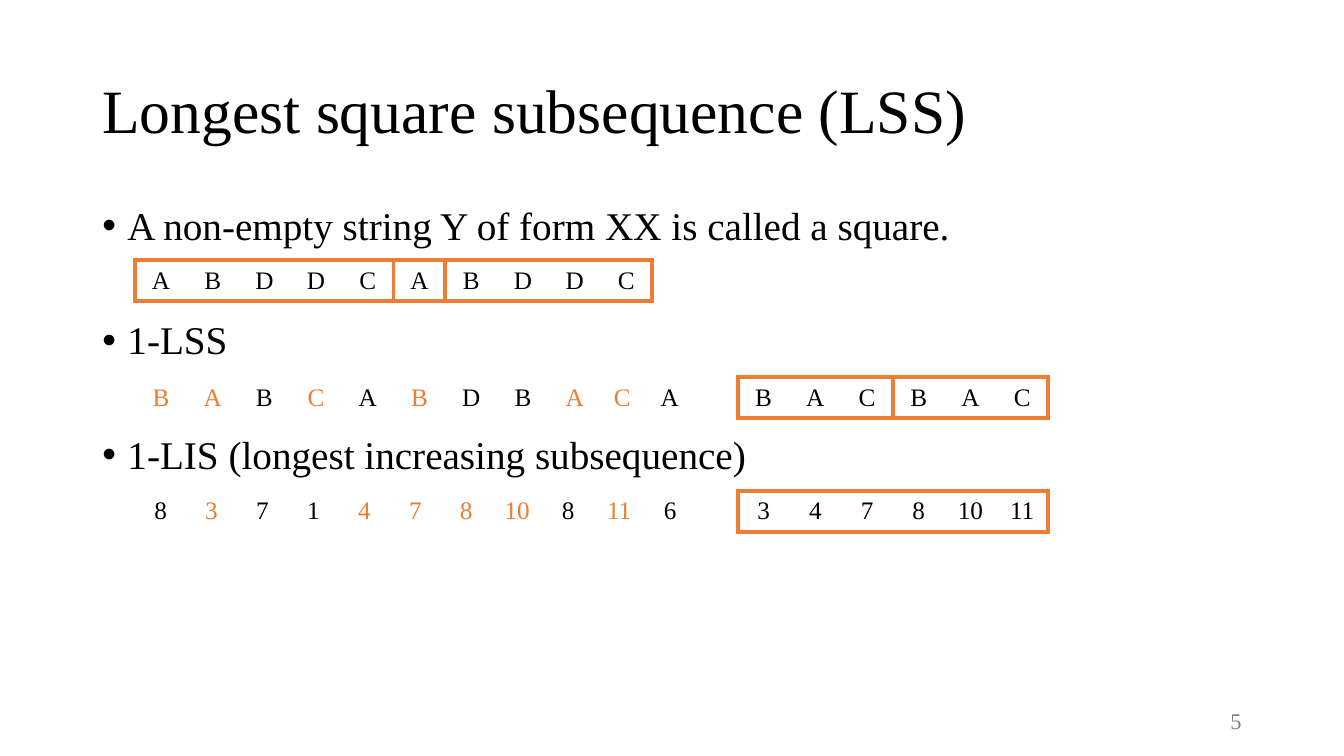
from lxml.etree import SubElement
from pptx import Presentation
from pptx.dml.color import RGBColor
from pptx.enum.text import MSO_ANCHOR as Anchor, PP_ALIGN as Align
from pptx.oxml.ns import qn
from pptx.util import Pt

FONT = "Times New Roman"
COLORS = {"text": "000000", "accent": "ED7D31", "number": "808080"}
ROW_HEIGHT = 29.2
COLUMN_WIDTH = 36.95
LEFT_TABLE, RIGHT_TABLE = 96.5, 527
ROW_TOPS = {"square": 185.8, "lss": 269.3, "lis": 350.6}


def add_run(paragraph, text, size, color="text"):
    run = paragraph.add_run()
    run.text = text
    run.font.name = FONT
    run.font.size = Pt(size)
    run.font.color.rgb = RGBColor.from_string(COLORS[color])


def add_text_frame(slide, left, top, width, height, anchor):
    box = slide.shapes.add_textbox(Pt(left), Pt(top), Pt(width), Pt(height))
    frame = box.text_frame
    frame.word_wrap = True
    frame.vertical_anchor = anchor
    return frame


def add_title(slide, text):
    frame = add_text_frame(slide, 66, 28.8, 862, 104.4, Anchor.MIDDLE)
    paragraph = frame.paragraphs[0]
    paragraph.line_spacing = 0.9
    add_run(paragraph, text, 44)


def add_bullets(slide, lines):
    """Add bulleted lines, spaced to leave room for a table under each."""
    frame = add_text_frame(slide, 66, 144, 828, 356.4, Anchor.TOP)
    for index, line in enumerate(lines):
        paragraph = frame.add_paragraph() if index else frame.paragraphs[0]
        properties = paragraph._p.get_or_add_pPr()
        properties.set("marL", str(Pt(18)))
        properties.set("indent", str(-Pt(18)))
        SubElement(properties, qn("a:buFont"), typeface="Arial")
        SubElement(properties, qn("a:buChar"), char="•")
        paragraph.line_spacing = 0.9
        if index:
            paragraph.space_before = Pt(51.5)
        add_run(paragraph, line, 28)


def add_slide_number(slide, number):
    frame = add_text_frame(slide, 678, 500.5, 216, 28.8, Anchor.MIDDLE)
    paragraph = frame.paragraphs[0]
    paragraph.alignment = Align.RIGHT
    add_run(paragraph, number, 16, "number")


def set_borders(cell, sides):
    """Draw accent lines on the given sides and clear the others."""
    properties = cell._tc.get_or_add_tcPr()
    for side in "LRTB":
        line = SubElement(properties, qn(f"a:ln{side}"), w=str(Pt(3)))
        if side in sides:
            fill = SubElement(line, qn("a:solidFill"))
            SubElement(fill, qn("a:srgbClr"), val=COLORS["accent"])
        else:
            SubElement(line, qn("a:noFill"))


def add_sequence(slide, left, top, groups, framed=False, marked=(), widths=None):
    """Add a one-row table; each group of symbols may get its own frame."""
    symbols = [symbol for group in groups for symbol in group.split()]
    borders = []
    for group in groups:
        last = len(group.split()) - 1
        for index in range(last + 1):
            sides = "TB" + "L" * (index == 0) + "R" * (index == last)
            borders.append(sides if framed else "")
    widths = widths or [COLUMN_WIDTH] * len(symbols)
    table = slide.shapes.add_table(
        1, len(symbols), Pt(left), Pt(top), Pt(sum(widths)), Pt(ROW_HEIGHT)
    ).table
    table.first_row = table.horz_banding = False
    for index, symbol in enumerate(symbols):
        table.columns[index].width = Pt(widths[index])
        cell = table.cell(0, index)
        set_borders(cell, borders[index])
        cell.fill.background()
        cell.vertical_anchor = Anchor.MIDDLE
        paragraph = cell.text_frame.paragraphs[0]
        paragraph.alignment = Align.CENTER
        add_run(paragraph, symbol, 18, "accent" if index in marked else "text")


def main():
    presentation = Presentation()
    presentation.slide_width, presentation.slide_height = Pt(960), Pt(540)
    slide = presentation.slides.add_slide(presentation.slide_layouts[6])

    add_title(slide, "Longest square subsequence (LSS)")
    add_bullets(slide, [
        "A non-empty string Y of form XX is called a square.",
        "1-LSS",
        "1-LIS (longest increasing subsequence)",
    ])
    add_slide_number(slide, "5")

    add_sequence(slide, LEFT_TABLE, ROW_TOPS["square"],
                 ["A B D D C", "A", "B D D C"], framed=True)
    add_sequence(slide, RIGHT_TABLE, ROW_TOPS["lss"],
                 ["B A C", "B A C"], framed=True)
    add_sequence(slide, LEFT_TABLE, ROW_TOPS["lss"], ["B A B C A B D B A C A"],
                 marked={0, 1, 3, 5, 8, 9},
                 widths=[COLUMN_WIDTH] * 9 + [31, COLUMN_WIDTH])
    add_sequence(slide, LEFT_TABLE, ROW_TOPS["lis"], ["8 3 7 1 4 7 8 10 8 11 6"],
                 marked={1, 4, 5, 6, 7, 9}, widths=[36.4] * 11)
    add_sequence(slide, RIGHT_TABLE, ROW_TOPS["lis"],
                 ["3 4 7 8 10 11"], framed=True)

    presentation.save("out.pptx")


if __name__ == "__main__":
    main()
